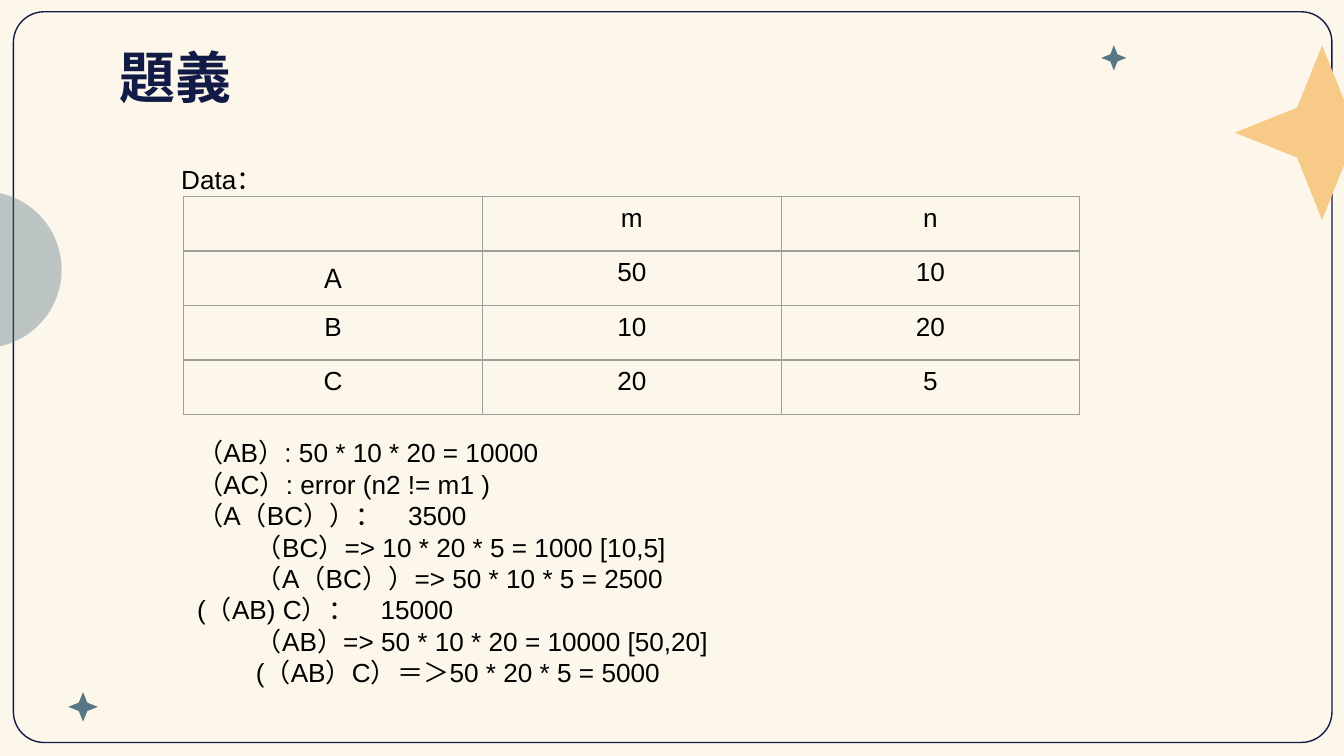
from lxml.etree import SubElement
from pptx import Presentation
from pptx.dml.color import RGBColor
from pptx.enum.shapes import MSO_SHAPE
from pptx.enum.text import PP_ALIGN
from pptx.oxml.ns import qn
from pptx.util import Pt

CREAM = RGBColor(0xFD, 0xF6, 0xEB)
NAVY = RGBColor(0x12, 0x1B, 0x46)
TEAL = RGBColor(0x57, 0x77, 0x85)
ORANGE = RGBColor(0xF8, 0xCA, 0x88)
GREY = RGBColor(0x9E, 0x9E, 0x9E)
BLACK = RGBColor(0, 0, 0)

SIZES = [["", "m", "n"], ["Ａ", "50", "10"], ["B", "10", "20"], ["C", "20", "5"]]
STEP = 31.5
COSTS = [
    ("（AB）: 50 * 10 * 20 = 10000", 0),
    ("（AC）: error (n2 != m1 )", 0),
    ("（A（BC））：\u30003500".replace("\u3000", "　"), 0),
    ("（BC）=> 10 * 20 * 5 = 1000 [10,5]", STEP),
    ("（A（BC））=> 50 * 10 * 5 = 2500", STEP),
    ("(（AB) C）：　15000", 0),
    ("（AB）=> 50 * 10 * 20 = 10000 [50,20]", STEP),
    ("(（AB）C）＝＞50 * 20 * 5 = 5000", STEP),
]
COSTS[2] = ("（A（BC））：　3500", 0)


class MatrixSlide:
    body_font = "Arial"
    title_font = "Noto Sans CJK SC"
    inset = Pt(7.2)

    def __init__(self, deck):
        self.slide = deck.slides.add_slide(deck.slide_layouts[6])
        background = self.slide.background.fill
        background.solid()
        background.fore_color.rgb = CREAM

    def shape(self, kind, left, top, width, height, fill=None, line=None, adjust=None, alpha=None):
        shape = self.slide.shapes.add_shape(kind, Pt(left), Pt(top), Pt(width), Pt(height))
        shape.shadow.inherit = False
        if adjust is not None:
            shape.adjustments[0] = adjust
        if fill is None:
            shape.fill.background()
        else:
            shape.fill.solid()
            shape.fill.fore_color.rgb = fill
        if alpha is not None:
            color = shape.fill._xPr.find(qn("a:solidFill"))[0]
            SubElement(color, qn("a:alpha"), val=str(alpha * 1000))
        if line is None:
            shape.line.fill.background()
        else:
            shape.line.color.rgb = line
            shape.line.width = Pt(0.75)

    def star(self, left, top, size, fill):
        self.shape(MSO_SHAPE.STAR_4_POINT, left, top, size, size, fill, adjust=0.202)

    def style(self, paragraph, size=14, color=BLACK, font=body_font, bold=False):
        paragraph.font.size = Pt(size)
        paragraph.font.name = font
        paragraph.font.bold = bold
        paragraph.font.color.rgb = color

    def text_box(self, left, top, width, height):
        frame = self.slide.shapes.add_textbox(Pt(left), Pt(top), Pt(width), Pt(height)).text_frame
        frame.word_wrap = True
        frame.margin_left = frame.margin_right = self.inset
        frame.margin_top = frame.margin_bottom = self.inset
        return frame

    def title(self, text, *place):
        heading = self.text_box(*place).paragraphs[0]
        heading.text = text
        heading.line_spacing = 0.9
        self.style(heading, 30, NAVY, self.title_font, True)
        SubElement(heading.font._element, qn("a:ea"), typeface=self.title_font)

    def lines(self, entries, *place):
        frame = self.text_box(*place)
        for index, (text, indent) in enumerate(entries):
            line = frame.add_paragraph() if index else frame.paragraphs[0]
            line.text = text
            self.style(line)
            if indent:
                line._p.get_or_add_pPr().set("indent", str(Pt(indent)))

    def cell_border(self, cell):
        properties = cell._tc.get_or_add_tcPr()
        for side in ("a:lnL", "a:lnR", "a:lnT", "a:lnB"):
            edge = SubElement(properties, qn(side), w=str(Pt(0.75)))
            fill = SubElement(edge, qn("a:solidFill"))
            SubElement(fill, qn("a:srgbClr"), val=str(GREY))

    def table(self, rows, left, top, width, height):
        table = self.slide.shapes.add_table(
            len(rows), len(rows[0]), Pt(left), Pt(top), Pt(width), Pt(height)
        ).table
        table.first_row = table.horz_banding = False
        for r, row in enumerate(rows):
            for c, value in enumerate(row):
                cell = table.cell(r, c)
                cell.text = value
                entry = cell.text_frame.paragraphs[0]
                entry.alignment = PP_ALIGN.CENTER
                self.style(entry)
                self.cell_border(cell)
                cell.fill.background()


def main():
    deck = Presentation()
    deck.slide_width, deck.slide_height = Pt(720), Pt(405)
    page = MatrixSlide(deck)
    page.shape(MSO_SHAPE.ROUNDED_RECTANGLE, 7.2, 6.3, 706.4, 391.5, line=NAVY, adjust=0.042)
    page.shape(MSO_SHAPE.OVAL, -51, 102.5, 84, 84, TEAL, alpha=38)
    page.star(661.5, 24.3, 93.6, ORANGE)
    page.star(36.6, 370.8, 15.8, TEAL)
    page.star(590, 24.3, 13.5, TEAL)
    page.title("題義", 57, 19.5, 607, 45.4)
    page.table(SIZES, 98.5, 105.3, 480, 116.8)
    page.lines([("Data：", 0)], 90, 80.6, 124.5, 24.5)
    page.lines(COSTS, 98.5, 226.8, 288.7, 193.7)
    deck.save("out.pptx")


if __name__ == "__main__":
    main()
